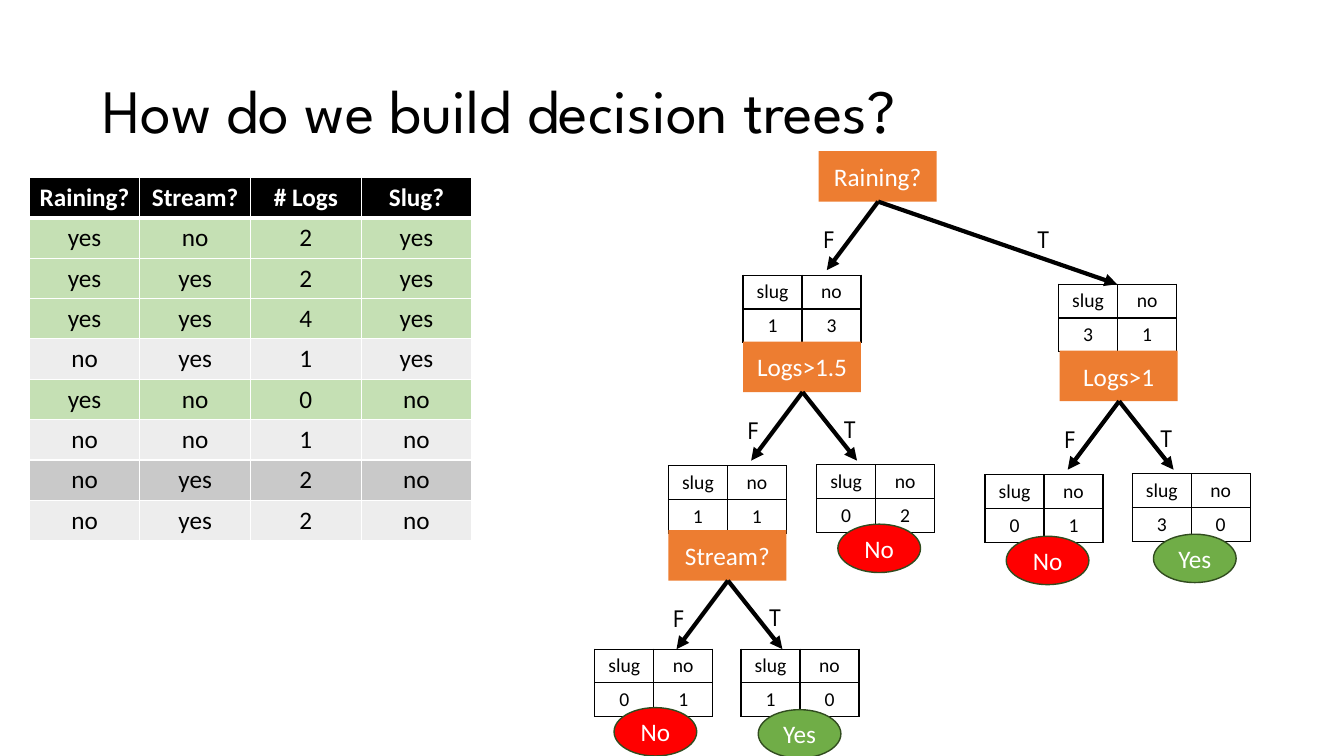
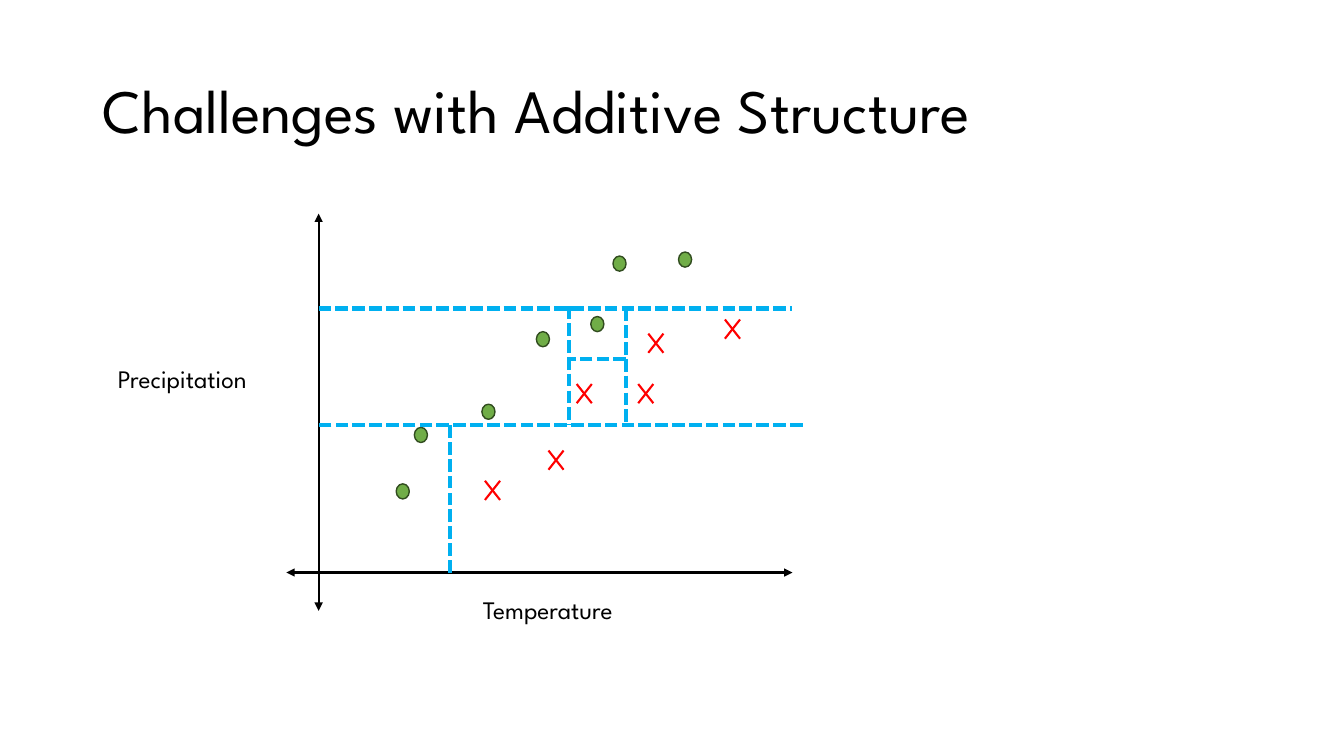
import pptx
import pptx.dml.color
import pptx.enum.dml
import pptx.enum.shapes
import pptx.enum.text
import pptx.oxml.ns
import pptx.util
from lxml import etree

EMU_PER_PX = 9144
BLACK, WHITE = "000000", "FFFFFF"
ORANGE, RED, GREEN, DARK_GREEN = "ED7D31", "FF0000", "70AD47", "314C1F"
BLUE, LIGHT_GREEN, LIGHT_GRAY, GRAY = "00B0F0", "C5E0B4", "EDEDED", "C9C9C9"
HEADING_FONT, BODY_FONT = "League Spartan", "Calibri"
SHAPE = pptx.enum.shapes.MSO_SHAPE
CENTER = pptx.enum.text.PP_ALIGN.CENTER
MIDDLE = pptx.enum.text.MSO_ANCHOR.MIDDLE
BOX_WIDTH, BOX_HEIGHT = 117, 50

OBSERVATIONS = [
    ("Raining?", "Stream?", "# Logs", "Slug?"),
    ("yes", "no", "2", "yes"),
    ("yes", "yes", "2", "yes"),
    ("yes", "yes", "4", "yes"),
    ("no", "yes", "1", "yes"),
    ("yes", "no", "0", "no"),
    ("no", "no", "1", "no"),
    ("no", "yes", "2", "no"),
    ("no", "yes", "2", "no"),
]
HIGHLIGHTED_ROW = 7

# left, top, slug count, no count
COUNTS = [
    (737, 273, 1, 3), (1050, 282, 3, 1), (663, 462, 1, 1), (810, 461, 0, 2),
    (590, 644, 0, 1), (735, 644, 1, 0), (977, 471, 0, 1), (1123, 470, 3, 0),
]
LOWER_SPLITS = [("Logs>1.5", 737, 339), ("Stream?", 663, 526), ("Logs>1", 1051, 348)]
VERDICTS = [
    ("Yes", 752, 704), ("No", 609, 702), ("Yes", 1144, 530),
    ("No", 998, 532), ("No", 831, 520),
]

DOTS = [(673, 250), (608, 254), (586, 314), (532, 329), (478, 401), (411, 424), (393, 480)]
CROSSES = [(719, 317), (633, 381), (643, 331), (572, 381), (544, 447), (481, 477)]
SPLIT_LINES = [
    ((796, 422), (316, 422)), ((446, 568), (446, 422)), ((316, 306), (786, 306)),
    ((621, 306), (621, 424)), ((564, 304), (564, 422)), ((621, 356), (564, 356)),
]


def px(*lengths):
    return [pptx.util.Emu(length * EMU_PER_PX) for length in lengths]


def color(hex_string):
    return pptx.dml.color.RGBColor.from_string(hex_string)


def write(frame, text, font=BODY_FONT, size=18, ink=BLACK, bold=False, align=None, spacing=None):
    para = frame.paragraphs[0]
    para.alignment = align
    para.line_spacing = spacing
    span = para.add_run()
    span.text = text
    span.font.name = font
    span.font.size = pptx.util.Pt(size)
    span.font.bold = bold
    span.font.color.rgb = color(ink)


def add_title(page, text):
    frame = page.shapes.add_textbox(*px(92, 40, 1150, 145)).text_frame
    frame.word_wrap = True
    frame.vertical_anchor = MIDDLE
    write(frame, text, font=HEADING_FONT, size=44, spacing=0.9)


def add_label(page, text, left, top, width):
    frame = page.shapes.add_textbox(*px(left, top, width, 40)).text_frame
    frame.word_wrap = False
    write(frame, text, font=HEADING_FONT)


def add_filled(page, kind, bounds, fill, outline=None, text=None):
    shape = page.shapes.add_shape(kind, *px(*bounds))
    shape.shadow.inherit = False
    shape.fill.solid()
    shape.fill.fore_color.rgb = color(fill)
    if outline:
        shape.line.color.rgb = color(outline)
        shape.line.width = pptx.util.Pt(1)
    else:
        shape.line.fill.background()
    if text:
        shape.text_frame.vertical_anchor = MIDDLE
        write(shape.text_frame, text, ink=WHITE, align=CENTER)


def add_line(shapes, start, end, ink=BLACK, width=3, dashed=False, arrows=()):
    """Arrows names the ends that get a head: headEnd at start, tailEnd at end."""
    connector = shapes.add_connector(
        pptx.enum.shapes.MSO_CONNECTOR.STRAIGHT, *px(*start, *end))
    connector.line.color.rgb = color(ink)
    connector.line.width = pptx.util.Pt(width)
    if dashed:
        connector.line.dash_style = pptx.enum.dml.MSO_LINE.SQUARE_DOT
    outline = connector.get_or_add_ln()
    for end_name in arrows:
        etree.SubElement(outline, pptx.oxml.ns.qn(f"a:{end_name}"), type="triangle")
    etree.SubElement(connector.element.spPr, pptx.oxml.ns.qn("a:effectLst"))


def set_borders(cell, ink, bottom_width):
    properties = cell._tc.get_or_add_tcPr()
    for side, width in (("L", 1), ("R", 1), ("T", 1), ("B", bottom_width)):
        border = etree.SubElement(properties, pptx.oxml.ns.qn(f"a:ln{side}"),
                                  w=str(pptx.util.Pt(width)))
        fill = etree.SubElement(border, pptx.oxml.ns.qn("a:solidFill"))
        etree.SubElement(fill, pptx.oxml.ns.qn("a:srgbClr"), val=ink)


def add_grid(page, bounds, rows, border, size=18, fills=None, header=False):
    """Add a table of equal cells; fills holds one colour per row."""
    table = page.shapes.add_table(len(rows), len(rows[0]), *px(*bounds)).table
    table.first_row = header
    table.horz_banding = False
    for row_index, row in enumerate(rows):
        is_header = header and row_index == 0
        for column_index, value in enumerate(row):
            cell = table.cell(row_index, column_index)
            set_borders(cell, border, 3 if is_header else 1)
            if fills:
                cell.fill.solid()
                cell.fill.fore_color.rgb = color(fills[row_index])
            else:
                cell.fill.background()
            write(cell.text_frame, str(value), size=size, bold=is_header,
                  ink=WHITE if is_header else BLACK, align=CENTER)


def add_observations(page):
    fills = [BLACK] + [LIGHT_GREEN if row[0] == "yes" else LIGHT_GRAY
                       for row in OBSERVATIONS[1:]]
    fills[HIGHLIGHTED_ROW] = GRAY
    add_grid(page, (29, 176, 439, 360), OBSERVATIONS, WHITE, fills=fills, header=True)


def add_split(page, text, left, top, true_tip=(113, 118), true_label=(90, 66)):
    """Add a question with its F and T branches; tip and label are offsets from the box."""
    add_filled(page, SHAPE.RECTANGLE, (left, top, BOX_WIDTH, BOX_HEIGHT), ORANGE, text=text)
    start = (left + 59, top + BOX_HEIGHT)
    for tip_x, tip_y in ((8, 118), true_tip):
        add_line(page.shapes, start, (left + tip_x, top + tip_y), arrows=["tailEnd"])
    add_label(page, "F", left - 5, top + 67, 33)
    add_label(page, "T", left + true_label[0], top + true_label[1], 32)


def add_verdict(page, text, left, top):
    fill = GREEN if text == "Yes" else RED
    add_filled(page, SHAPE.OVAL, (left, top, 82, 48), fill, outline=DARK_GREEN, text=text)


def add_cross(page, left, top):
    group = page.shapes.add_group_shape()
    right, bottom = left + 15, top + 19
    add_line(group.shapes, (left, top), (right, bottom), ink=RED, width=1.5)
    add_line(group.shapes, (left, bottom), (right, top), ink=RED, width=1.5)


def build_tree_page(page):
    add_title(page, "How do we build decision trees?")
    add_observations(page)
    for left, top, slug, no_slug in COUNTS:
        add_grid(page, (left, top, BOX_WIDTH, 67), [("slug", "no"), (slug, no_slug)],
                 BLACK, size=14)
    add_split(page, "Raining?", 812, 150, true_tip=(296, 132), true_label=(207, 67))
    for split in LOWER_SPLITS:
        add_split(page, *split)
    for verdict in VERDICTS:
        add_verdict(page, *verdict)


def build_scatter_page(page):
    add_title(page, "Challenges with Additive Structure")
    for start, end in (((316, 212), (316, 606)), ((786, 568), (284, 568))):
        add_line(page.shapes, start, end, width=1.5, arrows=["headEnd", "tailEnd"])
    add_label(page, "Temperature", 469, 585, 163)
    add_label(page, "Precipitation", 107, 356, 161)
    for left, top in DOTS:
        add_filled(page, SHAPE.OVAL, (left, top, 13, 15), GREEN, outline=DARK_GREEN)
    for left, top in CROSSES:
        add_cross(page, left, top)
    for start, end in SPLIT_LINES:
        add_line(page.shapes, start, end, ink=BLUE, dashed=True)


def main():
    deck = pptx.Presentation()
    deck.slide_width, deck.slide_height = px(1333, 750)
    blank = deck.slide_layouts[6]
    for build in (build_tree_page, build_scatter_page):
        build(deck.slides.add_slide(blank))
    deck.save("out.pptx")


if __name__ == "__main__":
    main()
